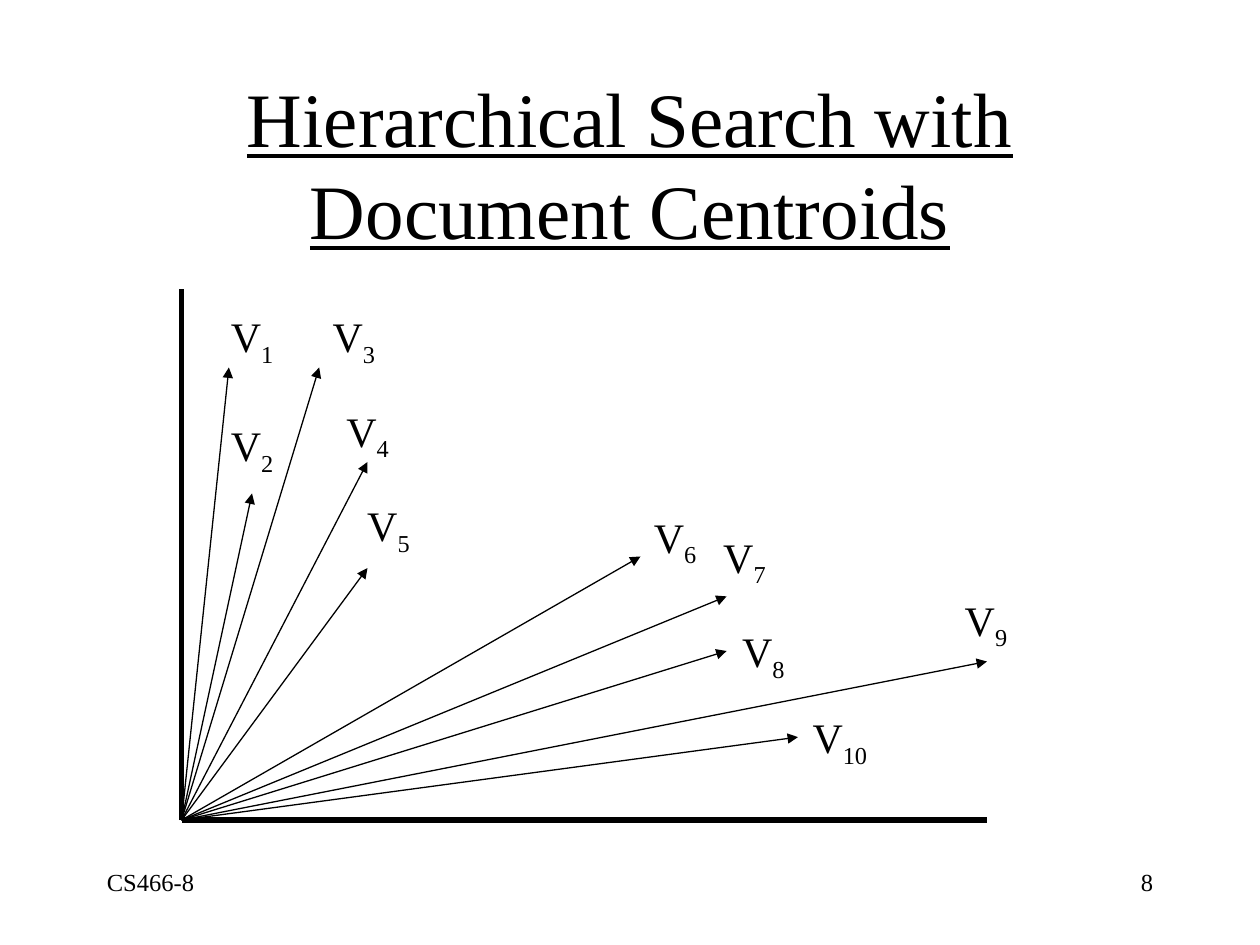
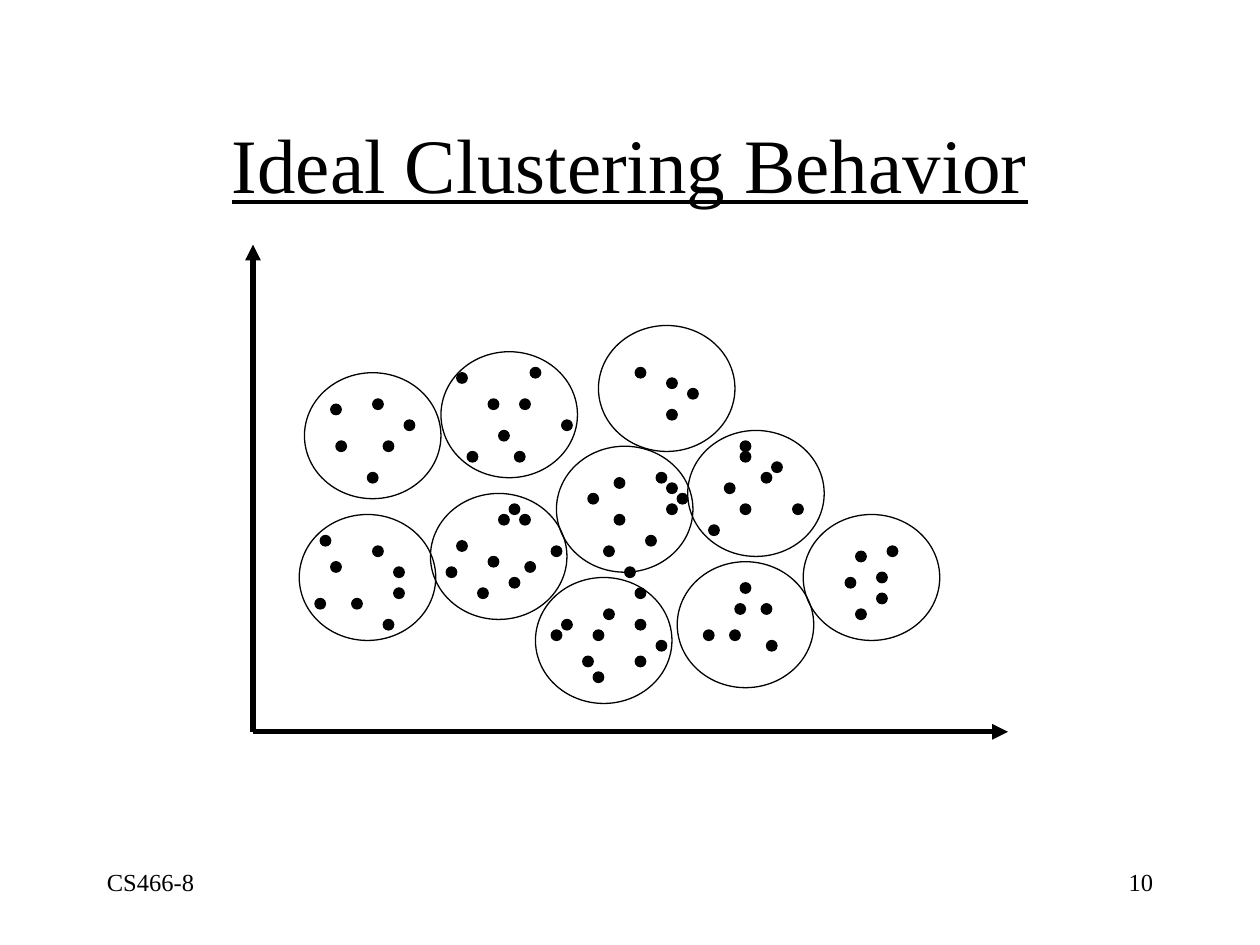
from typing import NamedTuple

import pptx
import pptx.dml.color
import pptx.enum.shapes
import pptx.enum.text
import pptx.oxml.ns
import pptx.util
from lxml import etree

EMU_PER_PX = 7620
FONT = "Times New Roman"
COLORS = {"ink": "000000", "paper": "FFFFFF"}
ALIGN = pptx.enum.text.PP_ALIGN
ANCHOR = pptx.enum.text.MSO_ANCHOR
THIN, THICK = 0.75, 3
DOT_SIZE = 10
CLUSTER_W, CLUSTER_H = 130, 120


class Point(NamedTuple):
    x: int
    y: int


class Box(NamedTuple):
    x: int
    y: int
    w: int
    h: int


class Vector(NamedTuple):
    index: str
    tip: Point
    label: Point


class Cluster(NamedTuple):
    corner: Point
    dots: list[tuple[int, int]]


TITLE = Box(90, 80, 1020, 150)
COURSE = Box(90, 820, 250, 60)
NUMBER = Box(860, 820, 250, 60)

VECTOR_ORIGIN = Point(173, 781)
VECTORS = [
    Vector("1", Point(218, 350), Point(208, 290)),
    Vector("2", Point(240, 470), Point(208, 394)),
    Vector("3", Point(304, 350), Point(305, 290)),
    Vector("4", Point(350, 440), Point(318, 380)),
    Vector("5", Point(350, 541), Point(338, 470)),
    Vector("6", Point(610, 530), Point(611, 481)),
    Vector("7", Point(692, 568), Point(677, 500)),
    Vector("8", Point(692, 620), Point(695, 590)),
    Vector("9", Point(940, 630), Point(907, 560)),
    Vector("10", Point(760, 702), Point(762, 672)),
]

CLUSTERS = [
    Cluster(Point(290, 355), [(315, 385), (365, 420), (355, 380), (385, 400),
                              (320, 420), (350, 450)]),
    Cluster(Point(420, 335), [(435, 355), (505, 350), (495, 380), (475, 410),
                              (465, 380), (490, 430), (535, 400), (445, 430)]),
    Cluster(Point(285, 490), [(375, 540), (315, 535), (375, 560), (305, 510),
                              (355, 520), (300, 570), (365, 590), (335, 570)]),
    Cluster(Point(410, 470), [(485, 480), (455, 560), (465, 530), (475, 490),
                              (485, 550), (495, 490), (425, 540), (525, 520),
                              (500, 535), (435, 515)]),
    Cluster(Point(510, 550), [(575, 580), (605, 590), (605, 560), (555, 625),
                              (565, 600), (625, 610), (525, 600), (605, 625),
                              (565, 640), (535, 590)]),
    Cluster(Point(530, 425), [(625, 450), (615, 510), (585, 455), (635, 480),
                              (560, 470), (645, 470), (575, 520), (595, 540),
                              (635, 460), (585, 490)]),
    Cluster(Point(570, 310), [(635, 360), (655, 370), (605, 350), (635, 390)]),
    Cluster(Point(655, 410), [(705, 430), (705, 480), (725, 450), (690, 460),
                              (755, 480), (675, 500), (735, 440), (705, 420)]),
    Cluster(Point(645, 535), [(725, 575), (730, 610), (705, 555), (700, 575),
                              (695, 600), (670, 600)]),
    Cluster(Point(765, 490), [(805, 550), (835, 565), (845, 520), (835, 545),
                              (815, 525), (815, 580)]),
]


def px(n: int) -> int:
    return pptx.util.Emu(n * EMU_PER_PX)


def rgb(name: str) -> pptx.dml.color.RGBColor:
    return pptx.dml.color.RGBColor.from_string(COLORS[name])


def add_run(p, text: str, size: int, underline: bool = False, subscript: bool = False) -> None:
    r = p.add_run()
    r.text = text
    r.font.name = FONT
    r.font.size = pptx.util.Pt(size)
    r.font.color.rgb = rgb("ink")
    if underline:
        r.font.underline = True
    if subscript:
        r._r.get_or_add_rPr().set("baseline", "-25000")


def add_text_frame(s, box: Box, wrap: bool = True, align=ALIGN.LEFT, anchor=ANCHOR.TOP):
    tf = s.shapes.add_textbox(*map(px, box)).text_frame
    tf.word_wrap = wrap
    tf.vertical_anchor = anchor
    tf.paragraphs[0].alignment = align
    return tf


def add_line(s, start: Point, end: Point, width: float, arrow: bool) -> None:
    line = s.shapes.add_connector(pptx.enum.shapes.MSO_CONNECTOR.STRAIGHT,
                                  *map(px, (*start, *end)))
    line.line.color.rgb = rgb("ink")
    line.line.width = pptx.util.Pt(width)
    qn = pptx.oxml.ns.qn
    if arrow:
        etree.SubElement(line.line._get_or_add_ln(), qn("a:tailEnd"), type="triangle")
    etree.SubElement(line._element.spPr, qn("a:effectLst"))


def add_ellipse(s, box: Box, filled: bool) -> None:
    sp = s.shapes.add_shape(pptx.enum.shapes.MSO_SHAPE.OVAL, *map(px, box))
    sp.shadow.inherit = False
    if filled:
        sp.fill.solid()
        sp.fill.fore_color.rgb = rgb("ink")
    else:
        sp.fill.background()
    sp.line.color.rgb = rgb("ink")
    sp.line.width = pptx.util.Pt(THIN)


def add_axes(s, origin: Point, top: int, right: int, arrow: bool) -> None:
    for end in (Point(origin.x, top), Point(right, origin.y)):
        add_line(s, origin, end, THICK, arrow)


def add_slide(prs, title: str, number: str):
    s = prs.slides.add_slide(prs.slide_layouts[6])
    s.background.fill.solid()
    s.background.fill.fore_color.rgb = rgb("paper")
    tf = add_text_frame(s, TITLE, align=ALIGN.CENTER, anchor=ANCHOR.MIDDLE)
    add_run(tf.paragraphs[0], title, 44, underline=True)
    for box, text, align in ((COURSE, "CS466-8", ALIGN.LEFT), (NUMBER, number, ALIGN.RIGHT)):
        tf = add_text_frame(s, box, align=align)
        add_run(tf.paragraphs[0], text, 14)
    return s


def add_vector(s, vector: Vector) -> None:
    add_line(s, VECTOR_ORIGIN, vector.tip, THIN, True)
    width = 54 + 11 * len(vector.index)
    tf = add_text_frame(s, Box(*vector.label, width, 67), wrap=False)
    tf.auto_size = pptx.enum.text.MSO_AUTO_SIZE.SHAPE_TO_FIT_TEXT
    p = tf.paragraphs[0]
    add_run(p, "V", 24)
    add_run(p, vector.index, 24, subscript=True)


def add_cluster(s, cluster: Cluster) -> None:
    for dot in cluster.dots:
        add_ellipse(s, Box(*dot, DOT_SIZE, DOT_SIZE), True)
    add_ellipse(s, Box(*cluster.corner, CLUSTER_W, CLUSTER_H), False)


def main() -> None:
    prs = pptx.Presentation()
    prs.slide_width, prs.slide_height = px(1200), px(900)

    s = add_slide(prs, "Hierarchical Search with Document Centroids", "8")
    add_axes(s, VECTOR_ORIGIN, 275, 940, False)
    for vector in VECTORS:
        add_vector(s, vector)

    s = add_slide(prs, "Ideal Clustering Behavior", "10")
    for cluster in CLUSTERS:
        add_cluster(s, cluster)
    add_axes(s, Point(241, 697), 233, 960, True)

    prs.save("out.pptx")


if __name__ == "__main__":
    main()
